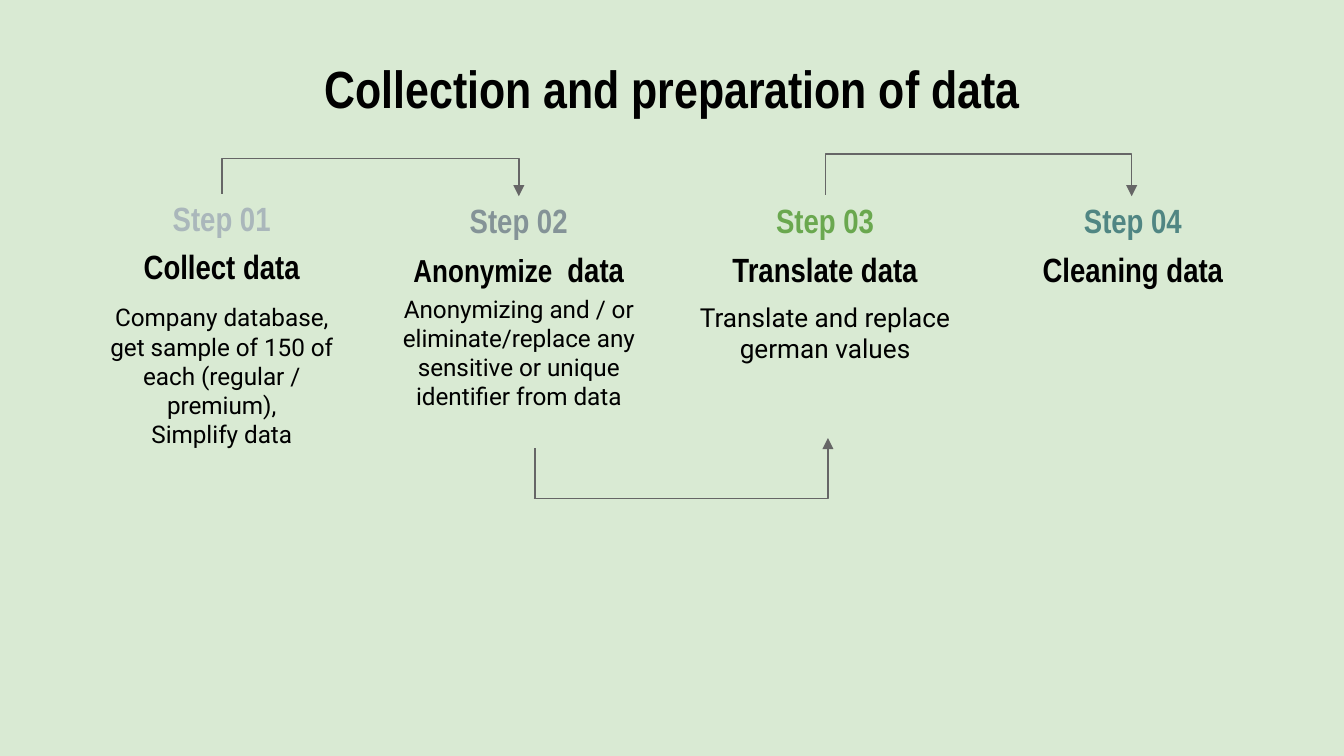
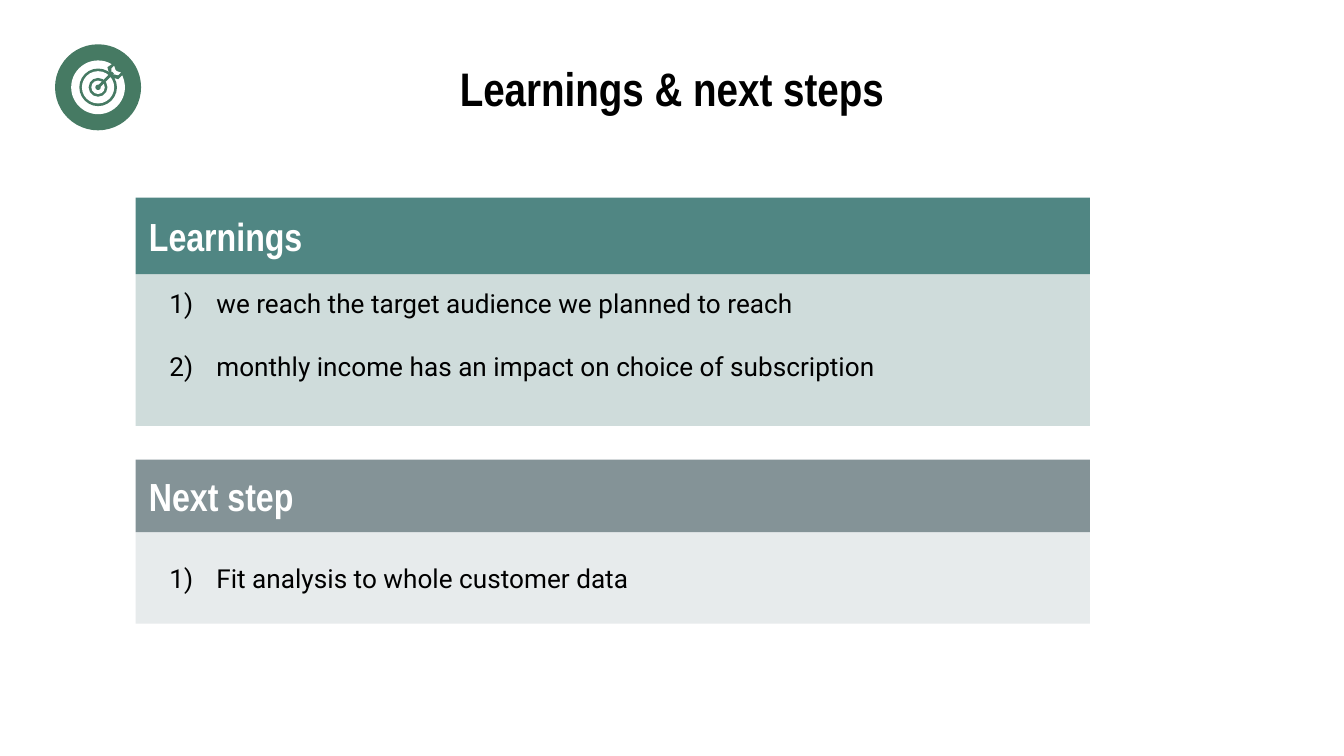
from lxml import etree
from pptx import Presentation
from pptx import util as u
from pptx.dml.color import RGBColor
from pptx.enum import shapes, text
from pptx.oxml import ns

SCALE = 9144  # EMU per px, 100 px to the inch
HEAD_FONT = "Arial Narrow"
BODY_FONT = "Roboto"

BLACK = RGBColor(0x00, 0x00, 0x00)
WHITE = RGBColor(0xFF, 0xFF, 0xFF)
MINT = RGBColor(0xD9, 0xEA, 0xD3)
SILVER = RGBColor(0xAA, 0xB7, 0xBB)
SLATE = RGBColor(0x84, 0x93, 0x97)
LEAF = RGBColor(0x6A, 0xA8, 0x4F)
TEAL = RGBColor(0x50, 0x86, 0x83)
DEEP_TEAL = RGBColor(0x41, 0x74, 0x71)
MIST = RGBColor(0xA0, 0xB0, 0xB4)
PINE = RGBColor(0x46, 0x7A, 0x63)
LINE_GREY = RGBColor(0x66, 0x66, 0x66)

SLIDE_WIDTH = 1000
TITLE_BOX = (50, 45, 900, 41)
STEP_WIDTH = 216
ROW_HEIGHT = 36
PANEL_LEFT, PANEL_WIDTH = 101, 710


def px(*lengths):
    return [u.Emu(int(n * SCALE)) for n in lengths]


def sub(parent, tag, **attrs):
    return etree.SubElement(parent, ns.qn(tag), attrs)


def add_run(p, words, size, color=BLACK, font=HEAD_FONT, bold=True):
    r = p.add_run()
    r.text = words
    r.font.size = u.Pt(size)
    r.font.name = font
    r.font.bold = bold
    r.font.color.rgb = color


def frame(sp):
    """Text frame of sp, wrapped, centred vertically, with even margins."""
    tf = sp.text_frame
    tf.word_wrap = True
    tf.auto_size = text.MSO_AUTO_SIZE.NONE
    tf.vertical_anchor = text.MSO_ANCHOR.MIDDLE
    tf.margin_left, tf.margin_top, tf.margin_right, tf.margin_bottom = px(10, 10, 10, 10)
    return tf


def place(sp, box):
    sp.left, sp.top, sp.width, sp.height = px(*box)


def fill(sp, color, alpha=None):
    sp.fill.solid()
    sp.fill.fore_color.rgb = color
    sp.line.fill.background()
    if alpha:
        clr = sp._element.spPr.find(ns.qn("a:solidFill"))[0]
        sub(clr, "a:alpha", val=str(alpha * 1000))


def new_slide(prs, layout, background, title, size):
    slide = prs.slides.add_slide(prs.slide_layouts[layout])
    slide.background.fill.solid()
    slide.background.fill.fore_color.rgb = background
    place(slide.shapes.title, TITLE_BOX)
    p = frame(slide.shapes.title).paragraphs[0]
    p.alignment = text.PP_ALIGN.CENTER
    add_run(p, title, size)
    return slide


def add_shape(slide, kind, box, color):
    sp = slide.shapes.add_shape(kind, *px(*box))
    sp.shadow.inherit = False
    fill(sp, color)
    return sp


def centred_box(slide, box, paragraphs, **style):
    """Text box; each paragraph is a list of (words, size) runs."""
    tf = frame(slide.shapes.add_textbox(*px(*box)))
    for i, runs in enumerate(paragraphs):
        p = tf.add_paragraph() if i else tf.paragraphs[0]
        p.alignment = text.PP_ALIGN.CENTER
        for words, size in runs:
            add_run(p, words, size, **style)


def step(slide, left, top, label, color, heading, body=None):
    centred_box(slide, (left, top + ROW_HEIGHT, STEP_WIDTH, ROW_HEIGHT), [heading])
    if body:
        drop, height, size, lines = body
        centred_box(slide, (left, top + drop, STEP_WIDTH, height),
                    [[(line, size)] for line in lines], font=BODY_FONT, bold=False)
    centred_box(slide, (left, top, STEP_WIDTH, ROW_HEIGHT), [[(label, 18)]], color=color)


def add_line(slide, kind, x1, y1, x2, y2, arrow=True):
    cxn = slide.shapes.add_connector(kind, *px(x1, y1, x2, y2))
    cxn.line.color.rgb = LINE_GREY
    cxn.line.width = u.Pt(0.75)
    if arrow:
        sub(cxn.line._get_or_add_ln(), "a:tailEnd", type="triangle")
    sub(cxn._element.spPr, "a:effectLst")
    return cxn


def set_bend(cxn, share):
    """Put the middle leg of an elbow at this share of its width."""
    guides = cxn._element.spPr.find(ns.qn("a:prstGeom")).get_or_add_avLst()
    sub(guides, "a:gd", name="adj1", fmla=f"val {round(share * 100000)}")


def arch(slide, x1, y1, x2, y2, bar):
    """Elbow arrow that rises to the height bar, runs across and drops."""
    cx, cy = (x1 + x2) / 2, (y1 + y2) / 2
    dx, dy = (x2 - x1) / 2, (y2 - y1) / 2
    cxn = add_line(slide, shapes.MSO_CONNECTOR.ELBOW, cx + dy, cy - dx, cx - dy, cy + dx)
    cxn._element.spPr.find(ns.qn("a:xfrm")).set("rot", "16200000")
    set_bend(cxn, (bar - y1) / (y2 - y1))


def collection_slide(prs):
    slide = new_slide(prs, 5, MINT, "Collection and preparation of data", 28)
    step(slide, 57, 144, "Step 01", SILVER, [("Collect data", 18)],
         (107, 57, 13, ["Company database,",
                        "get sample of 150 of each (regular / premium),",
                        "Simplify data"]))
    step(slide, 278, 146, "Step 02", SLATE, [("Anonymize ", 17), (" data", 18)],
         (71, 90, 13, ["Anonymizing and / or eliminate/replace any sensitive "
                       "or unique identifier from data"]))
    step(slide, 735, 146, "Step 04", TEAL, [("Cleaning data", 18)])
    step(slide, 506, 146, "Step 03", LEAF, [("Translate data", 18)],
         (73, 57, 14, ["Translate and replace german values"]))

    arch(slide, 165, 144, 386, 146, 118)
    arch(slide, 614, 145, 842, 146, 114)
    set_bend(add_line(slide, shapes.MSO_CONNECTOR.ELBOW, 397, 371, 616, 326), 1)
    add_line(slide, shapes.MSO_CONNECTOR.STRAIGHT, 398, 371, 398, 333, arrow=False)


def numbered(p, words, gap):
    pPr = p._p.get_or_add_pPr()
    pPr.set("marL", str(px(50)[0]))
    pPr.set("indent", str(px(-35)[0]))
    sub(sub(pPr, "a:buClr"), "a:srgbClr", val=str(BLACK))
    sub(pPr, "a:buFont", typeface=BODY_FONT)
    sub(pPr, "a:buAutoNum", type="arabicParenR")
    p.space_before = u.Pt(gap)
    p.line_spacing = 1.0
    add_run(p, words, 14, font=BODY_FONT, bold=False)


def panel(slide, body, top, head_height, body_height, heading, color, tint, items, spare=0):
    """Heading band over a tinted list; spare is extra room below the list."""
    band = add_shape(slide, shapes.MSO_SHAPE.RECTANGLE,
                     (PANEL_LEFT, top, PANEL_WIDTH, head_height), color)
    p = frame(band).paragraphs[0]
    p.alignment = text.PP_ALIGN.LEFT
    add_run(p, heading, 21, WHITE)

    place(body, (PANEL_LEFT, top + head_height, PANEL_WIDTH, body_height))
    fill(body, tint, alpha=25)
    tf = frame(body)
    tf.margin_bottom = px(10 + spare)[0]
    for i, item in enumerate(items):
        numbered(tf.add_paragraph() if i else tf.paragraphs[0], item, 17 if i else 0)


def polygon(slide, points, color):
    builder = slide.shapes.build_freeform(*points[0], scale=SCALE)
    builder.add_line_segments(points[1:])
    sp = builder.convert_to_shape()
    sp.shadow.inherit = False
    fill(sp, color)


def target_icon(slide, left, top):
    """Target with a dart, on a round badge 64 px wide."""
    cx, cy = left + 32, top + 32
    rings = [(32, PINE), (20, WHITE), (14, PINE), (12, WHITE), (7, PINE), (5, WHITE), (2, PINE)]
    for radius, color in rings:
        add_shape(slide, shapes.MSO_SHAPE.OVAL,
                  (cx - radius, cy - radius, 2 * radius, 2 * radius), color)
    notch = [(10, -17), (7, -15), (8, -11), (12, -7), (15, -6), (18, -9), (20, -14), (14, -20)]
    fins = [(12, -16), (10, -14), (10, -10), (15, -9), (17, -11), (14, -12), (13, -13)]
    for outline, color in ((notch, PINE), (fins, WHITE)):
        polygon(slide, [(cx + x, cy + y) for x, y in outline], color)
    shaft = add_line(slide, shapes.MSO_CONNECTOR.STRAIGHT, cx, cy, cx + 11, cy - 11, arrow=False)
    shaft.line.color.rgb = PINE
    shaft.line.width = u.Pt(1.5)


def learnings_slide(prs):
    slide = new_slide(prs, 3, WHITE, "Learnings & next steps", 25.2)
    panel(slide, slide.placeholders[1], 147, 57, 113, "Learnings", TEAL, DEEP_TEAL,
          ["we reach the target audience we planned to reach",
           "monthly income has an impact on choice of subscription"], spare=23)
    panel(slide, slide.placeholders[2], 342, 54, 68, "Next step", SLATE, MIST,
          ["Fit analysis to whole customer data"])
    target_icon(slide, 41, 33)


def main():
    prs = Presentation()
    prs.slide_width, prs.slide_height = px(SLIDE_WIDTH, SLIDE_WIDTH * 9 / 16)
    collection_slide(prs)
    learnings_slide(prs)
    prs.save("out.pptx")


if __name__ == "__main__":
    main()
